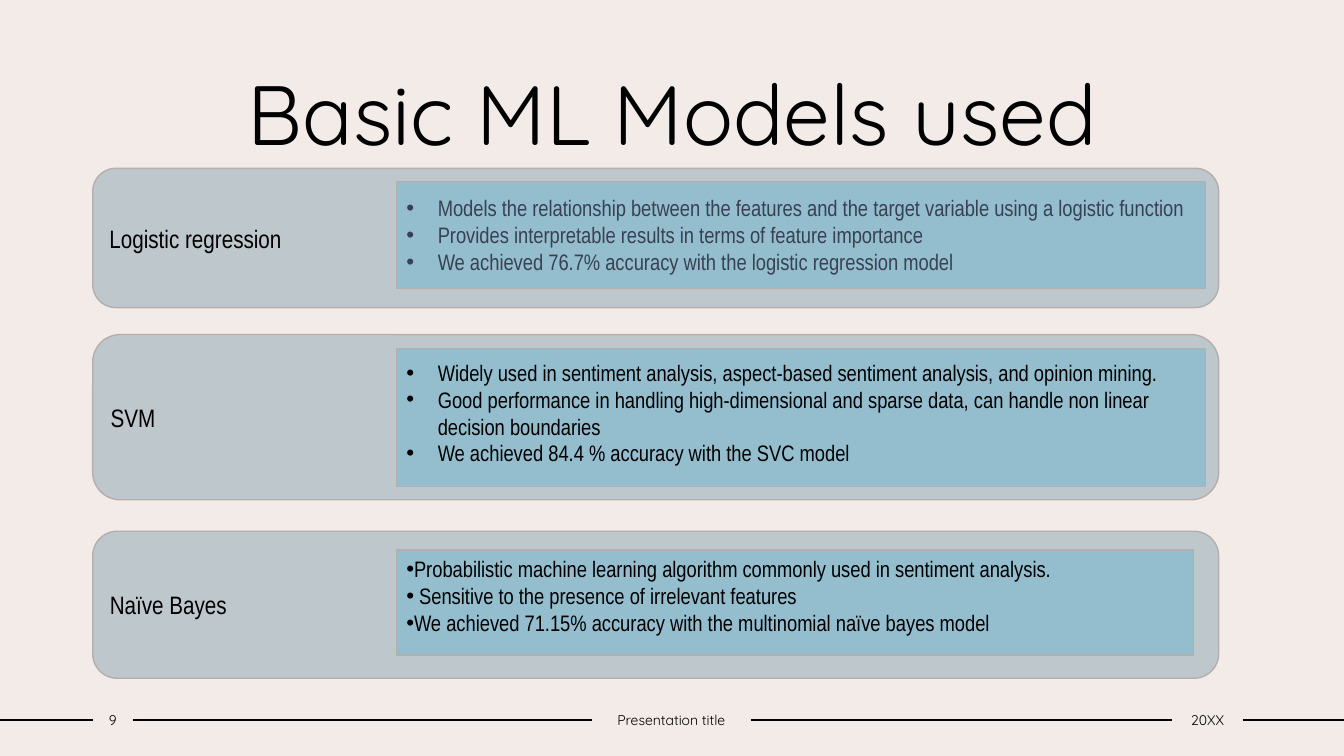
from lxml.etree import SubElement
from pptx import Presentation
from pptx.dml.color import RGBColor as RGB
from pptx.enum.shapes import MSO_CONNECTOR as CONNECTOR, MSO_SHAPE as SHAPE
from pptx.enum.text import MSO_ANCHOR as ANCHOR, MSO_AUTO_SIZE as AUTO_SIZE, PP_ALIGN as ALIGN
from pptx.oxml.ns import qn
from pptx.util import Pt

COLORS = {
    "background": "F3EBE8",
    "card": "BEC7CC",
    "panel": "94BDCE",
    "border": "B4AEAC",
    "text": "000000",
    "slate": "374151",
}
HEADING, BODY = "Quicksand", "Arial Narrow"
WIDTH, HEIGHT = 960, 540
COMPARISON_LAYOUT = 4
CARD_LEFT, CARD_WIDTH = 66.25, 804.25
PANEL_LEFT = 283
FOOTER_TOP, FOOTER_HEIGHT = 504.5, 19.5
LEFT_SIDE, RIGHT_SIDE = 1, 3

# name, card (top, height), panel (top, width, height), list format, items
MODELS = [
    ("Logistic regression", (120.25, 99.5), (129.5, 578, 76.5),
     {"color": "slate", "indent": 22.5},
     ["Models the relationship between the features and the target variable using a logistic function",
      "Provides interpretable results in terms of feature importance",
      "We achieved 76.7% accuracy with the logistic regression model"]),
    ("SVM", (239, 118), (249, 578, 98.5),
     {"indent": 22.5, "bottom": 10.5},
     ["Widely used in sentiment analysis, aspect-based sentiment analysis, and opinion mining.",
      "Good performance in handling high-dimensional and sparse data, can handle non linear decision boundaries",
      "We achieved 84.4 % accuracy with the SVC model"]),
    ("Naïve Bayes", (379.5, 105), (393, 569.5, 75),
     {"anchor": ANCHOR.TOP},
     ["Probabilistic machine learning algorithm commonly used in sentiment analysis.",
      " Sensitive to the presence of irrelevant features",
      "We achieved 71.15% accuracy with the multinomial naïve bayes model"]),
]
FOOTERS = [("9", 66.25, 28.75), ("Presentation title", 422.75, 113.5), ("20XX", 837.25, 50.5)]


class Deck:
    def __init__(self):
        self.prs = Presentation()
        self.prs.slide_width, self.prs.slide_height = Pt(WIDTH), Pt(HEIGHT)
        self.slide = self.prs.slides.add_slide(self.prs.slide_layouts[COMPARISON_LAYOUT])
        self.shapes = self.slide.shapes
        fill = self.slide.background.fill
        fill.solid()
        fill.fore_color.rgb = self.rgb("background")

    def rgb(self, name):
        return RGB.from_string(COLORS[name])

    def place(self, sp, left, top, width, height):
        sp.left, sp.top, sp.width, sp.height = Pt(left), Pt(top), Pt(width), Pt(height)

    def paint(self, sp, fill):
        sp.fill.solid()
        sp.fill.fore_color.rgb = self.rgb(fill)
        sp.line.color.rgb = self.rgb("border")
        sp.line.width = Pt(1)

    def set_text(self, sp, text, font, size, align=ALIGN.LEFT, anchor=ANCHOR.MIDDLE, color="text"):
        tf = sp.text_frame
        tf.text = text
        tf.word_wrap = True
        tf.auto_size = AUTO_SIZE.NONE
        tf.vertical_anchor = anchor
        for p in tf.paragraphs:
            p.alignment = align
            p.line_spacing = 1.0
            p.space_before = Pt(0)
            for r in p.runs:
                r.font.name, r.font.size, r.font.bold = font, Pt(size), False
                r.font.color.rgb = self.rgb(color)
        return tf

    def title(self, text):
        sp = self.shapes.title
        self.place(sp, 90, 40.25, 780.5, 80)
        self.set_text(sp, text, HEADING, 60, ALIGN.CENTER, ANCHOR.TOP)

    def card(self, name, top, height):
        """Draw a rounded card behind the placeholders."""
        sp = self.shapes.add_shape(
            SHAPE.ROUNDED_RECTANGLE, Pt(CARD_LEFT), Pt(top), Pt(CARD_WIDTH), Pt(height))
        sp.shadow.inherit = False
        self.paint(sp, "card")
        self.set_text(sp, name, BODY, 18)
        self.shapes.title._element.addprevious(sp._element)

    def panel(self, idx, items, top, width, height, indent=0, bottom=3.6, **style):
        """Turn body placeholder idx into a filled box with a bulleted list."""
        sp = self.slide.placeholders[idx]
        self.place(sp, PANEL_LEFT, top, width, height)
        self.paint(sp, "panel")
        tf = self.set_text(sp, "\n".join(items), BODY, 16, **style)
        tf.margin_bottom = Pt(bottom)
        for p in tf.paragraphs:
            pPr = p._p.get_or_add_pPr()
            pPr.set("marL", str(Pt(indent)))
            pPr.set("indent", str(-Pt(indent)))
            SubElement(pPr, qn("a:buFont"), typeface="Arial")
            SubElement(pPr, qn("a:buChar"), char="•")

    def footer(self, text, left, width):
        sp = self.shapes.add_textbox(Pt(left), Pt(FOOTER_TOP), Pt(width), Pt(FOOTER_HEIGHT))
        tf = self.set_text(sp, text, HEADING, 10, ALIGN.CENTER)
        tf.margin_left = tf.margin_right = 0
        return sp

    def rule(self, before, after):
        """Draw a line between two footers; None stands for the slide's edge."""
        y = Pt(FOOTER_TOP + FOOTER_HEIGHT / 2)
        line = self.shapes.add_connector(CONNECTOR.STRAIGHT, 0, y, Pt(WIDTH), y)
        if before is not None:
            line.begin_connect(before, RIGHT_SIDE)
        if after is not None:
            line.end_connect(after, LEFT_SIDE)
        line.line.color.rgb = self.rgb("text")
        line.line.width = Pt(1)
        SubElement(line._element.spPr, qn("a:effectLst"))

    def drop_placeholder(self, idx):
        el = self.slide.placeholders[idx]._element
        el.getparent().remove(el)


def main():
    deck = Deck()
    deck.title("Basic ML Models used")
    for idx, (name, card, panel, style, items) in enumerate(MODELS, start=1):
        deck.card(name, *card)
        deck.panel(idx, items, *panel, **style)
    deck.drop_placeholder(len(MODELS) + 1)

    footers = [deck.footer(*footer) for footer in FOOTERS]
    for before, after in zip([None] + footers, footers + [None]):
        deck.rule(before, after)
    deck.prs.save("out.pptx")


if __name__ == "__main__":
    main()
